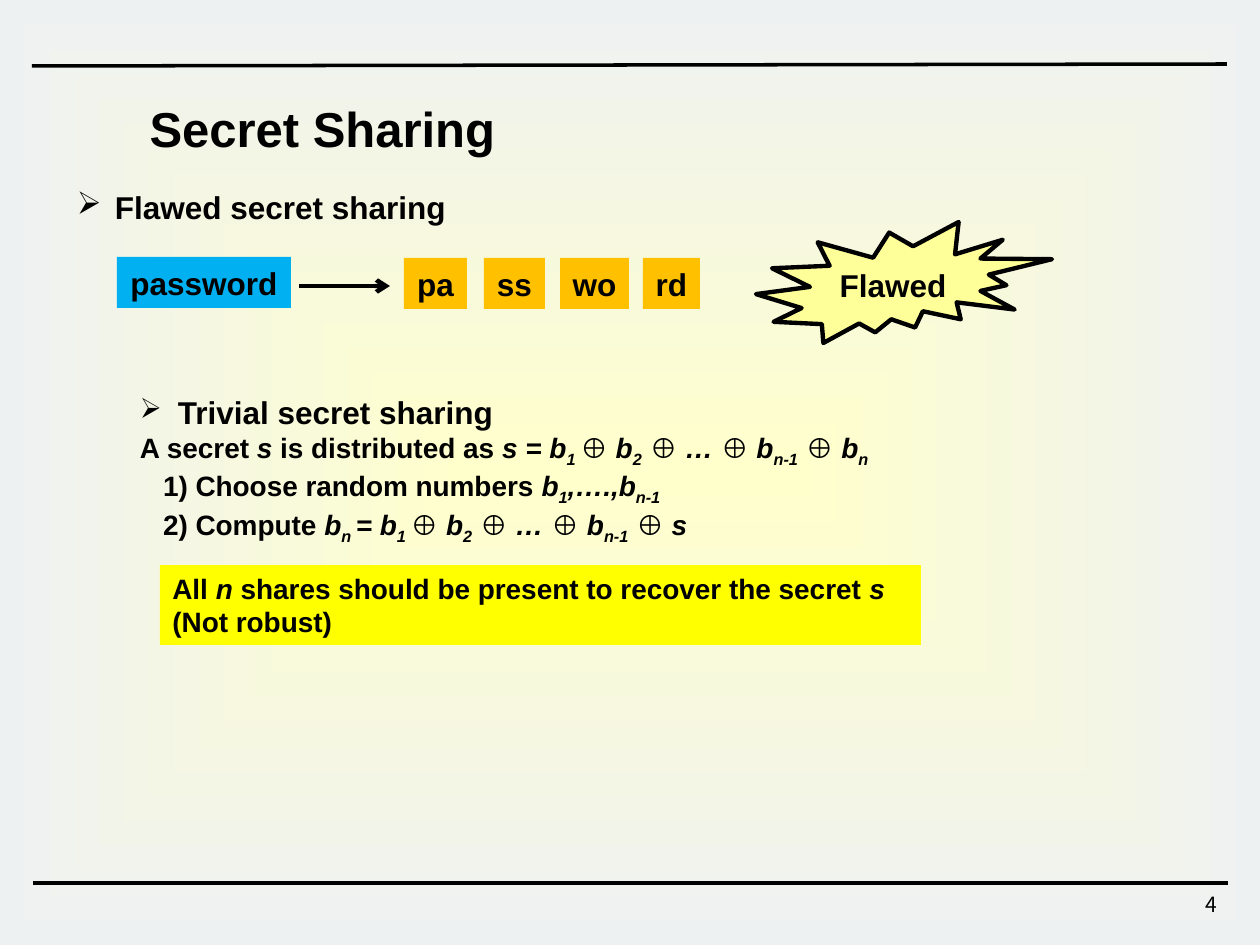
from lxml.etree import SubElement
from pptx import Presentation
from pptx.dml.color import RGBColor
from pptx.enum.shapes import MSO_CONNECTOR, MSO_SHAPE
from pptx.enum.text import MSO_ANCHOR as ANCHOR, PP_ALIGN as ALIGN
from pptx.oxml.ns import qn
from pptx.util import Emu, Pt

EMU_PER_PX = 914400 / 126
BLACK = "000000"


def px(n):
    return Emu(round(n * EMU_PER_PX))


def rgb(value):
    return RGBColor.from_string(value)


def xor_chain(lead, last):
    """Runs for: lead b1 ⊕ b2 ⊕ … ⊕ bn-1 ⊕ last; style i is italic, s subscript."""
    return [(lead + "b", "i"), ("1 ", "is"), ("⊕ b", "i"), ("2", "is"),
            (" ⊕ … ⊕ b", "i"), ("n-1", "is"), (" ⊕ " + last, "i")]


class SlideBuilder:
    font = "Arial"

    def __init__(self, slide):
        self.slide = slide

    def runs(self, p, parts, size, bold=True, font=None):
        for text, style in parts:
            r = p.add_run()
            r.text = text
            f = r.font
            f.name, f.size, f.bold = font or self.font, Pt(size), bold
            f.italic = "i" in style
            f.color.rgb = rgb(BLACK)
            if "s" in style:
                r._r.get_or_add_rPr().set("baseline", "-25000")

    def bullet(self, p, hang, percent):
        pPr = p._p.get_or_add_pPr()
        pPr.set("marL", str(px(hang)))
        pPr.set("indent", str(-px(hang)))
        SubElement(pPr, qn("a:buSzPct")).set("val", str(percent * 1000))
        SubElement(pPr, qn("a:buChar")).set("char", "➢")

    def indent(self, p, left):
        p._p.get_or_add_pPr().set("marL", str(px(left)))

    def title(self, x, y, w, h, text):
        sp = self.slide.shapes.title
        sp.left, sp.top, sp.width, sp.height = map(px, (x, y, w, h))
        tf = sp.text_frame
        tf.word_wrap, tf.vertical_anchor = False, ANCHOR.TOP
        p = tf.paragraphs[0]
        p.alignment = ALIGN.LEFT
        self.runs(p, [(text, "")], 28)

    def text_frame(self, x, y, w, h, inset=True):
        tf = self.slide.shapes.add_textbox(*map(px, (x, y, w, h))).text_frame
        tf.word_wrap = True
        if not inset:
            tf.margin_left = tf.margin_right = tf.margin_top = tf.margin_bottom = 0
        return tf

    def shape(self, x, y, w, h, fill=None, kind=MSO_SHAPE.RECTANGLE, line=None):
        sp = self.slide.shapes.add_shape(kind, *map(px, (x, y, w, h)))
        sp.shadow.inherit = False
        if fill:
            sp.fill.solid()
            sp.fill.fore_color.rgb = rgb(fill)
        if line:
            sp.line.color.rgb, sp.line.width = rgb(BLACK), Pt(line)
        else:
            sp.line.fill.background()
        return sp

    def label(self, sp, text):
        tf = sp.text_frame
        tf.word_wrap = False
        p = tf.paragraphs[0]
        p.alignment = ALIGN.CENTER
        self.runs(p, [(text, "")], 18)

    def backdrop(self, w, h, inner, outer):
        """Rectangular gradient from the centre, behind everything else."""
        sp = self.shape(0, 0, w, h)
        sp.fill.gradient()
        for stop, colour in zip(sp.fill.gradient_stops, (inner, outer)):
            stop.color.rgb = rgb(colour)
        grad = sp._element.spPr.find(qn("a:gradFill"))
        lin = grad.find(qn("a:lin"))
        path = SubElement(grad, qn("a:path"))
        path.set("path", "rect")
        centre = SubElement(path, qn("a:fillToRect"))
        for side in "ltrb":
            centre.set(side, "50000")
        grad.replace(lin, path)
        self.slide.shapes._spTree.insert(2, sp._element)

    def line(self, x1, y1, x2, y2, width, arrow=False):
        cx = self.slide.shapes.add_connector(
            MSO_CONNECTOR.STRAIGHT, *map(px, (x1, y1, x2, y2)))
        cx.line.color.rgb, cx.line.width = rgb(BLACK), Pt(width)
        if arrow:
            SubElement(cx.line._get_or_add_ln(), qn("a:tailEnd")).set("type", "arrow")
        SubElement(cx._element.spPr, qn("a:effectLst"))


def main():
    prs = Presentation()
    prs.slide_width, prs.slide_height = px(1260), px(945)
    s = SlideBuilder(prs.slides.add_slide(prs.slide_layouts[5]))

    s.backdrop(1260, 945, "FFFFCC", "EEF1F2")
    s.line(32, 66, 1227, 64, 2)
    s.line(33, 883, 1228, 883, 2)
    p = s.text_frame(968, 885, 262, 42).paragraphs[0]
    p.alignment = ALIGN.RIGHT
    s.runs(p, [("4", "")], 12, bold=False, font="Noto Sans CJK KR")
    s.title(137, 92, 375, 72, "Secret Sharing")

    p = s.text_frame(77, 188, 1037, 40, inset=False).paragraphs[0]
    s.bullet(p, 38, 100)
    s.runs(p, [("Flawed secret sharing", "")], 18)

    s.label(s.shape(117, 257, 174, 51, "00B0F0"), "password")
    for text, x, w in (("pa", 404, 63), ("ss", 484, 61),
                       ("wo", 560, 69), ("rd", 643, 57)):
        s.label(s.shape(x, 258, w, 51, "FFC000"), text)
    s.line(299, 286, 390, 286, 2.5, arrow=True)
    burst = s.shape(756, 222, 296, 121, "FFFF99", MSO_SHAPE.EXPLOSION2, 2.5)
    s.label(burst, "Flawed")

    tf = s.text_frame(140, 393, 974, 172, inset=False)
    p = tf.paragraphs[0]
    s.bullet(p, 38, 89)
    s.runs(p, [("Trivial secret sharing", "")], 18)
    lines = (
        (0, [("A secret ", ""), ("s", "i"), (" is distributed as ", ""),
             *xor_chain("s = ", "b"), ("n", "is")]),
        (23, [("1) Choose random numbers ", ""), ("b", "i"), ("1", "is"),
              (",….,b", "i"), ("n-1", "is")]),
        (23, [("2) Compute ", ""), ("b", "i"), ("n ", "is"),
              *xor_chain("= ", "s")]),
    )
    for left, parts in lines:
        p = tf.add_paragraph()
        s.indent(p, left)
        s.runs(p, parts, 16)

    tf = s.shape(160, 565, 761, 80, "FFFF00").text_frame
    tf.word_wrap, tf.vertical_anchor = True, ANCHOR.TOP
    note = ([("All ", ""), ("n", "i"),
             (" shares should be present to recover the secret ", ""), ("s", "i")],
            [("(Not robust)", "")])
    for i, parts in enumerate(note):
        p = tf.add_paragraph() if i else tf.paragraphs[0]
        p.alignment = ALIGN.LEFT
        s.runs(p, parts, 16)

    prs.save("out.pptx")


if __name__ == "__main__":
    main()
